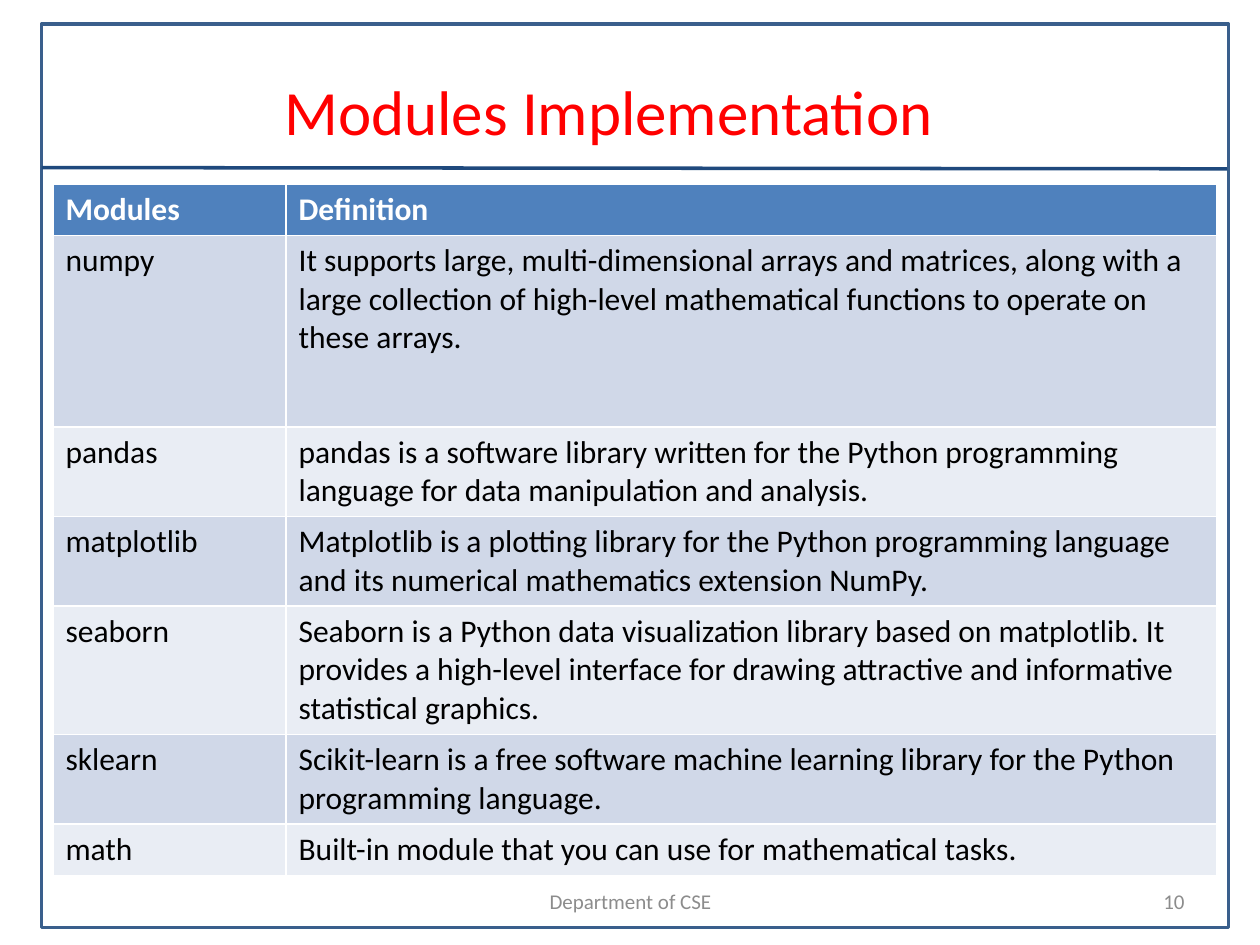
from pptx import Presentation
from pptx.dml.color import RGBColor
from pptx.enum.shapes import MSO_CONNECTOR as CONNECTOR, MSO_SHAPE as SHAPE
from pptx.enum.text import MSO_ANCHOR as ANCHOR, PP_ALIGN as ALIGN
from pptx.util import Inches, Pt
from lxml import etree

COLORS = {
    "frame": "3A5F8C", "rule": "1F497D", "title": "FF0000", "footer": "8C8C8C",
    "header": "4F81BD", "header_text": "FFFFFF", "text": "000000",
    "odd_row": "D0D8E8", "even_row": "E9EDF4",
}
DRAWING_NS = "http://schemas.openxmlformats.org/drawingml/2006/main"


def add_run(paragraph, text, size, color, bold=False):
    run = paragraph.add_run()
    run.text = text
    run.font.name = "Calibri"
    run.font.size = Pt(size)
    run.font.bold = bold
    run.font.color.rgb = RGBColor.from_string(COLORS[color])


presentation = Presentation()
presentation.slide_width = Inches(10)
presentation.slide_height = Inches(7.5)
slide = presentation.slides.add_slide(presentation.slide_layouts[6])

# Frame and the rule below the title
frame = slide.shapes.add_shape(
    SHAPE.RECTANGLE, Inches(0.33), Inches(0.19), Inches(9.42), Inches(7.17))
frame.shadow.inherit = False
frame.fill.background()
frame.line.color.rgb = RGBColor.from_string(COLORS["frame"])
frame.line.width = Pt(2)

rule = slide.shapes.add_connector(
    CONNECTOR.STRAIGHT, Inches(0.33), Inches(1.33), Inches(9.74), Inches(1.34))
rule.line.color.rgb = RGBColor.from_string(COLORS["rule"])
rule.line.width = Pt(2)
etree.SubElement(rule._element.spPr, f"{{{DRAWING_NS}}}effectLst")

# Title, footer and slide number
labels = [
    ("Modules Implementation", 0.33, 0.25, 9, 1.25, 36, "title", ALIGN.CENTER),
    ("Department of CSE", 3.42, 6.95, 3.17, 0.4, 12, "footer", ALIGN.CENTER),
    ("10", 7.17, 6.95, 2.33, 0.4, 12, "footer", ALIGN.RIGHT),
]
for text, left, top, width, height, size, color, alignment in labels:
    box = slide.shapes.add_textbox(
        Inches(left), Inches(top), Inches(width), Inches(height))
    box.text_frame.word_wrap = True
    box.text_frame.vertical_anchor = ANCHOR.MIDDLE
    paragraph = box.text_frame.paragraphs[0]
    paragraph.alignment = alignment
    add_run(paragraph, text, size, color)

# Table of modules: row height, module, definition
rows = [
    (0.41, "Modules", "Definition"),
    (1.52, "numpy", "It supports large, multi-dimensional arrays and matrices, "
     "along with a large collection of high-level mathematical functions to "
     "operate on these arrays."),
    (0.71, "pandas", "pandas is a software library written for the Python "
     "programming language for data manipulation and analysis."),
    (0.71, "matplotlib", "Matplotlib is a plotting library for the Python "
     "programming language and its numerical mathematics extension NumPy."),
    (1.02, "seaborn", "Seaborn is a Python data visualization library based on "
     "matplotlib. It provides a high-level interface for drawing attractive "
     "and informative statistical graphics."),
    (0.71, "sklearn", "Scikit-learn is a free software machine learning library "
     "for the Python programming language."),
    (0.41, "math", "Built-in module that you can use for mathematical tasks."),
]
table = slide.shapes.add_table(
    len(rows), 2, Inches(0.42), Inches(1.46), Inches(9.24), Inches(5.49)).table
for column, width in zip(table.columns, (1.85, 7.39)):
    column.width = Inches(width)

for index, (height, *texts) in enumerate(rows):
    table.rows[index].height = Inches(height)
    is_header = index == 0
    fill = "header" if is_header else "odd_row" if index % 2 else "even_row"
    for cell, text in zip(table.rows[index].cells, texts):
        cell.fill.solid()
        cell.fill.fore_color.rgb = RGBColor.from_string(COLORS[fill])
        add_run(cell.text_frame.paragraphs[0], text, 18,
                "header_text" if is_header else "text", bold=is_header)

presentation.save("out.pptx")
